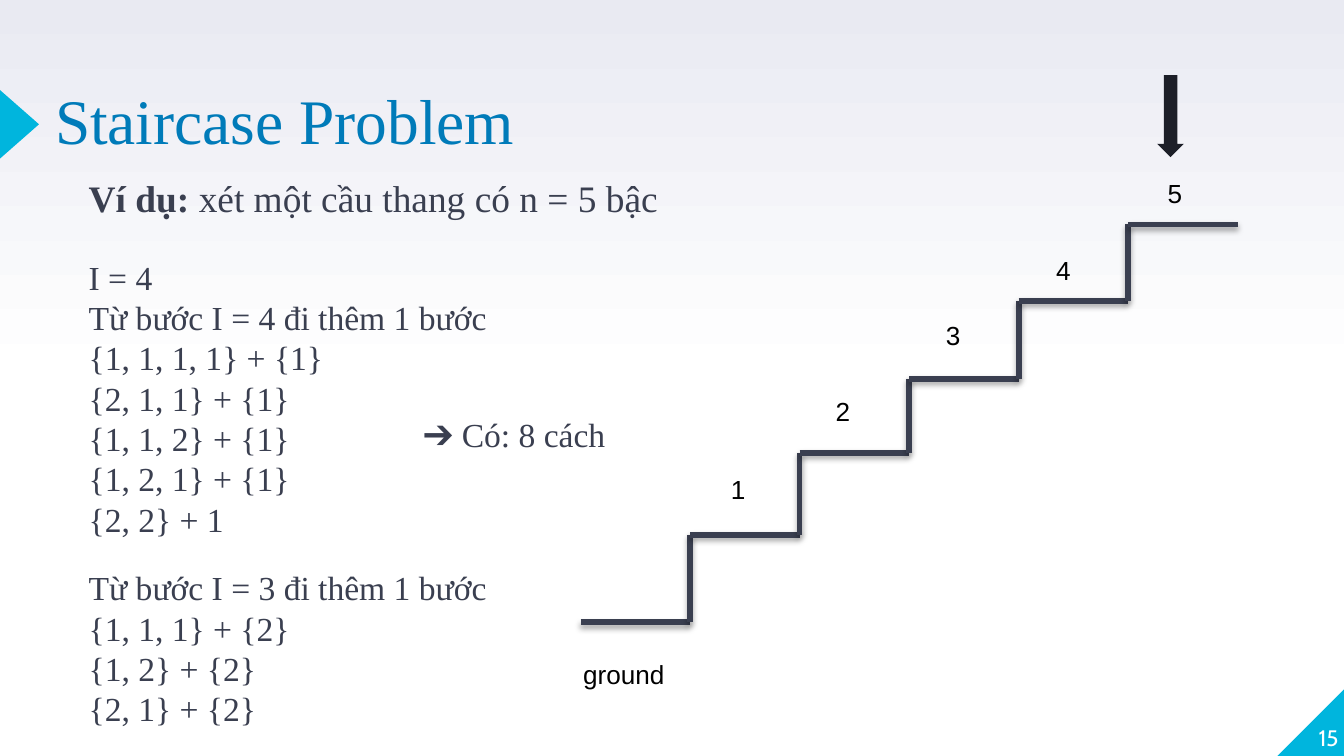
from pptx import Presentation
from pptx.dml.color import RGBColor
from pptx.enum.shapes import MSO_CONNECTOR as Connector, MSO_SHAPE as Shape
from pptx.enum.text import MSO_ANCHOR as Anchor, MSO_AUTO_SIZE as AutoSize, PP_ALIGN as Align
from pptx.oxml import parse_xml
from pptx.oxml.ns import nsdecls
from pptx.util import Inches, Pt

WHITE = RGBColor(0xFF, 0xFF, 0xFF)
BLACK = RGBColor(0, 0, 0)
LAVENDER = RGBColor(0xE9, 0xEA, 0xF2)
CYAN = RGBColor(0x00, 0xB5, 0xDD)
BLUE = RGBColor(0x00, 0x7B, 0xB9)
SLATE = RGBColor(0x3A, 0x3F, 0x50)
INK = RGBColor(0x1D, 0x1F, 0x28)

SERIF = "Times New Roman"
TITLE = {"name": SERIF, "size": Pt(34), "color": BLUE}
LEAD = {"name": SERIF, "size": Pt(20), "color": SLATE}
BODY = {"name": SERIF, "size": Pt(18), "color": SLATE}
LABEL = {"name": "Arial", "size": Pt(14), "color": BLACK}
NUMBER = {"name": "Cabin", "size": Pt(12), "color": WHITE}

LEVELS = [2.96, 2.31, 1.7, 1.15, 0.57, 0]
STEP_WIDTH = 4.89 / len(LEVELS)
STEP_LABELS = [("1", 1.02, 1.8), ("2", 1.8, 1.22), ("3", 2.62, 0.66),
               ("4", 3.44, 0.17), ("5", 4.27, -0.4)]

SHADOW = f"""<a:effectLst {nsdecls('a')}>
  <a:outerShdw blurRad="39370" dist="22860" dir="5400000" rotWithShape="0">
    <a:srgbClr val="000000"><a:alpha val="35000"/></a:srgbClr>
  </a:outerShdw>
</a:effectLst>"""


def inches(*lengths):
    return [Inches(length) for length in lengths]


def style(span, formats):
    for name, value in formats.items():
        if name == "color":
            span.font.color.rgb = value
        else:
            setattr(span.font, name, value)


def set_frame(frame, margin=0, **formats):
    """Wrap the text, set all four insets and any further frame formats."""
    frame.word_wrap = True
    for side in ("left", "top", "right", "bottom"):
        setattr(frame, f"margin_{side}", Inches(margin))
    for name, value in formats.items():
        setattr(frame, name, value)


def add_solid(page, kind, box, color):
    shape = page.shapes.add_shape(kind, *inches(*box))
    shape.shadow.inherit = False
    shape.fill.solid()
    shape.fill.fore_color.rgb = color
    shape.line.fill.background()
    return shape


def add_background(page):
    fill = page.background.fill
    fill.gradient()
    fill.gradient_angle = 90
    for stop, position, color in zip(fill.gradient_stops, (0.5, 1), (WHITE, LAVENDER)):
        stop.position = position
        stop.color.rgb = color


def add_title(page, box, text):
    title = page.shapes.title
    title.left, title.top, title.width, title.height = inches(*box)
    set_frame(title.text_frame, vertical_anchor=Anchor.BOTTOM, auto_size=AutoSize.NONE)
    para = title.text_frame.paragraphs[0]
    para.alignment = Align.LEFT
    span = para.add_run()
    span.text = text
    style(span, TITLE)
    left, top = box[:2]
    pointer = add_solid(page, Shape.ISOSCELES_TRIANGLE,
                        (left - 0.52, top + 0.2, 0.51, 0.29), CYAN)
    pointer.rotation = 90


def add_page_number(page, left, top, number):
    corner = add_solid(page, Shape.RIGHT_TRIANGLE, (left, top, 0.51, 0.51), CYAN)
    corner._element.spPr.xfrm.set("flipH", "1")
    box = page.shapes.add_textbox(*inches(left - 0.04, top - 0.04, 0.5, 0.51))
    set_frame(box.text_frame, vertical_anchor=Anchor.BOTTOM)
    para = box.text_frame.paragraphs[0]
    para.alignment = Align.RIGHT
    span = para.add_run()
    span.text = number
    style(span, NUMBER)


def add_text(page, box, lines, formats, align=Align.LEFT):
    """Add indented lines, each a list of (text, bold) spans."""
    frame = page.shapes.add_textbox(*inches(*box)).text_frame
    set_frame(frame)
    for index, line in enumerate(lines):
        para = frame.add_paragraph() if index else frame.paragraphs[0]
        para._p.get_or_add_pPr().set("marL", str(Inches(0.13)))
        para.alignment = align
        para.line_spacing = Pt(formats["size"].pt * 1.2)
        for text, bold in line:
            span = para.add_run()
            span.text = text
            style(span, {**formats, "bold": bold})


def plain(*texts):
    return [[(text, False)] for text in texts]


def add_stair_line(group, start, end):
    line = group.shapes.add_connector(Connector.STRAIGHT, *inches(*start, *end))
    line.line.color.rgb = SLATE
    line.line.width = Pt(3)
    line._element.spPr.append(parse_xml(SHADOW))


def add_label(group, left, top, width, text):
    frame = group.shapes.add_textbox(*inches(left, top, width, 0.4)).text_frame
    set_frame(frame, 0.05, margin_left=Inches(0.1), margin_right=Inches(0.1),
              auto_size=AutoSize.SHAPE_TO_FIT_TEXT)
    span = frame.paragraphs[0].add_run()
    span.text = text
    style(span, LABEL)


def add_staircase(page, left, top):
    group = page.shapes.add_group_shape()
    points = []
    for index, level in enumerate(LEVELS):
        for edge in (index, index + 1):
            points.append((left + edge * STEP_WIDTH, top + level))
    for start, end in zip(points, points[1:]):
        add_stair_line(group, start, end)
    for text, across, down in STEP_LABELS:
        add_label(group, left + across, top + down, 0.46, text)
    add_label(group, left - 0.08, top + 3.18, 1.39, "ground")


def add_example(page, left, top):
    add_text(page, (left, top, 4.6, 0.4),
             [[("Ví dụ: ", True), ("xét một cầu thang có n = 5 bậc", False)]], LEAD)
    add_text(page, (left, top + 0.61, 3.32, 2.3),
             plain("I = 4", "Từ bước I = 4 đi thêm 1 bước", "{1, 1, 1, 1} + {1}",
                   "{2, 1, 1} + {1}", "{1, 1, 2} + {1}", "{1, 2, 1} + {1}",
                   "{2, 2} + 1"), BODY)
    add_text(page, (left + 2.49, top + 1.78, 1.91, 0.51),
             plain("➔ Có: 8 cách"), BODY, Align.JUSTIFY)
    add_text(page, (left, top + 2.92, 3.32, 2),
             plain("Từ bước I = 3 đi thêm 1 bước", "{1, 1, 1} + {2}",
                   "{1, 2} + {2}", "{2, 1} + {2}"), BODY)


def main():
    deck = Presentation()
    deck.slide_width = Inches(10)
    deck.slide_height = deck.slide_width * 9 // 16
    page = deck.slides.add_slide(deck.slide_layouts[5])
    add_background(page)
    add_title(page, (0.41, 0.58, 6.31, 0.59), "Staircase Problem")
    add_page_number(page, 9.5, 5.12, "15")
    add_staircase(page, 4.32, 1.67)
    add_example(page, 0.53, 1.3)
    add_solid(page, Shape.DOWN_ARROW, (8.61, 0.56, 0.2, 0.61), INK)
    deck.save("out.pptx")


if __name__ == "__main__":
    main()
